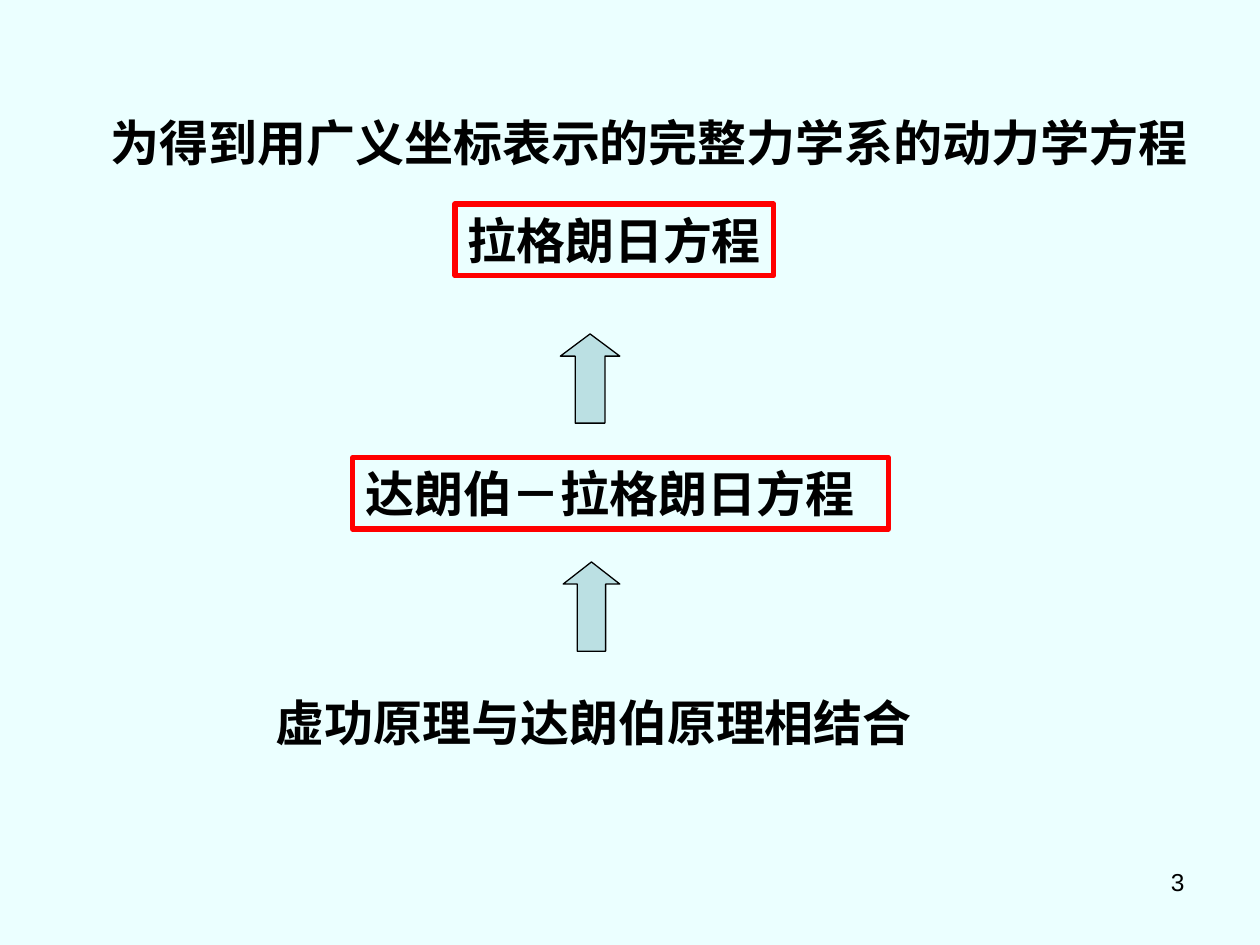
from lxml.etree import SubElement
from pptx import Presentation
from pptx.dml.color import RGBColor
from pptx.enum.shapes import MSO_SHAPE
from pptx.enum.text import MSO_ANCHOR, MSO_AUTO_SIZE, PP_ALIGN
from pptx.oxml.ns import qn
from pptx.util import Pt

COLORS = {"background": "EBFFFF", "text": "000000", "frame": "FF0000",
          "arrow": "BBE0E3", "outline": "000000"}
CJK_FONT = "Noto Sans CJK SC"
STATEMENT_HEIGHT = 41
ARROW_HEIGHT = 51

# text, left, top, width, latin font, framed, wraps
STATEMENTS = [
    ("为得到用广义坐标表示的完整力学系的动力学方程", 56.2, 60.5, 629.3, "Times New Roman", False, False),
    ("虚功原理与达朗伯原理相结合", 150.5, 392.4, 419.8, "Arial", False, True),
    ("达朗伯－拉格朗日方程", 201.6, 261.4, 306, CJK_FONT, True, True),
    ("拉格朗日方程", 260, 116.6, 182.2, "Times New Roman", True, False),
]
# left, top, width, head length relative to width
ARROWS = [(320.2, 190.8, 34, 0.374), (321.8, 321.1, 32.4, 0.391)]
PAGE_NUMBER = ("3", 516.2, 491.8, 167.8, 37.4)


def color(name):
    return RGBColor.from_string(COLORS[name])


def set_line(shape, name, width):
    shape.line.color.rgb = color(name)
    shape.line.width = Pt(width)


def write(shape, text, font_name, size, bold, wraps, align=PP_ALIGN.LEFT):
    frame = shape.text_frame
    frame_format = {"word_wrap": wraps, "auto_size": MSO_AUTO_SIZE.NONE,
                    "vertical_anchor": MSO_ANCHOR.TOP,
                    "margin_left": Pt(7.2), "margin_right": Pt(7.2),
                    "margin_top": Pt(3.6), "margin_bottom": Pt(3.6)}
    for attribute, value in frame_format.items():
        setattr(frame, attribute, value)
    paragraph = frame.paragraphs[0]
    paragraph.alignment = align
    run = paragraph.add_run()
    run.text = text
    for attribute, value in {"name": font_name, "size": Pt(size), "bold": bold}.items():
        setattr(run.font, attribute, value)
    run.font.color.rgb = color("text")
    SubElement(run._r.get_or_add_rPr(), qn("a:ea"), typeface=CJK_FONT)


def add_statement(shapes, text, left, top, width, font_name, framed, wraps):
    place = [Pt(value) for value in (left, top, width, STATEMENT_HEIGHT)]
    if framed:
        statement = shapes.add_shape(MSO_SHAPE.RECTANGLE, *place)
        statement.shadow.inherit = False
        statement.fill.background()
        set_line(statement, "frame", 3)
    else:
        statement = shapes.add_textbox(*place)
    write(statement, text, font_name, 28, True, wraps)


def add_arrow(shapes, left, top, width, head):
    arrow = shapes.add_shape(MSO_SHAPE.UP_ARROW, Pt(left), Pt(top), Pt(width), Pt(ARROW_HEIGHT))
    arrow.shadow.inherit = False
    arrow.adjustments[0] = 0.5
    arrow.adjustments[1] = head
    arrow.fill.solid()
    arrow.fill.fore_color.rgb = color("arrow")
    set_line(arrow, "outline", 0.75)


def main():
    presentation = Presentation()
    presentation.slide_width, presentation.slide_height = Pt(720), Pt(540)
    slide = presentation.slides.add_slide(presentation.slide_layouts[6])
    slide.background.fill.solid()
    slide.background.fill.fore_color.rgb = color("background")

    number, *place = PAGE_NUMBER
    page_number = slide.shapes.add_textbox(*[Pt(value) for value in place])
    write(page_number, number, "Arial", 14, False, True, PP_ALIGN.RIGHT)
    for statement in STATEMENTS:
        add_statement(slide.shapes, *statement)
    for arrow in ARROWS:
        add_arrow(slide.shapes, *arrow)
    presentation.save("out.pptx")


if __name__ == "__main__":
    main()
